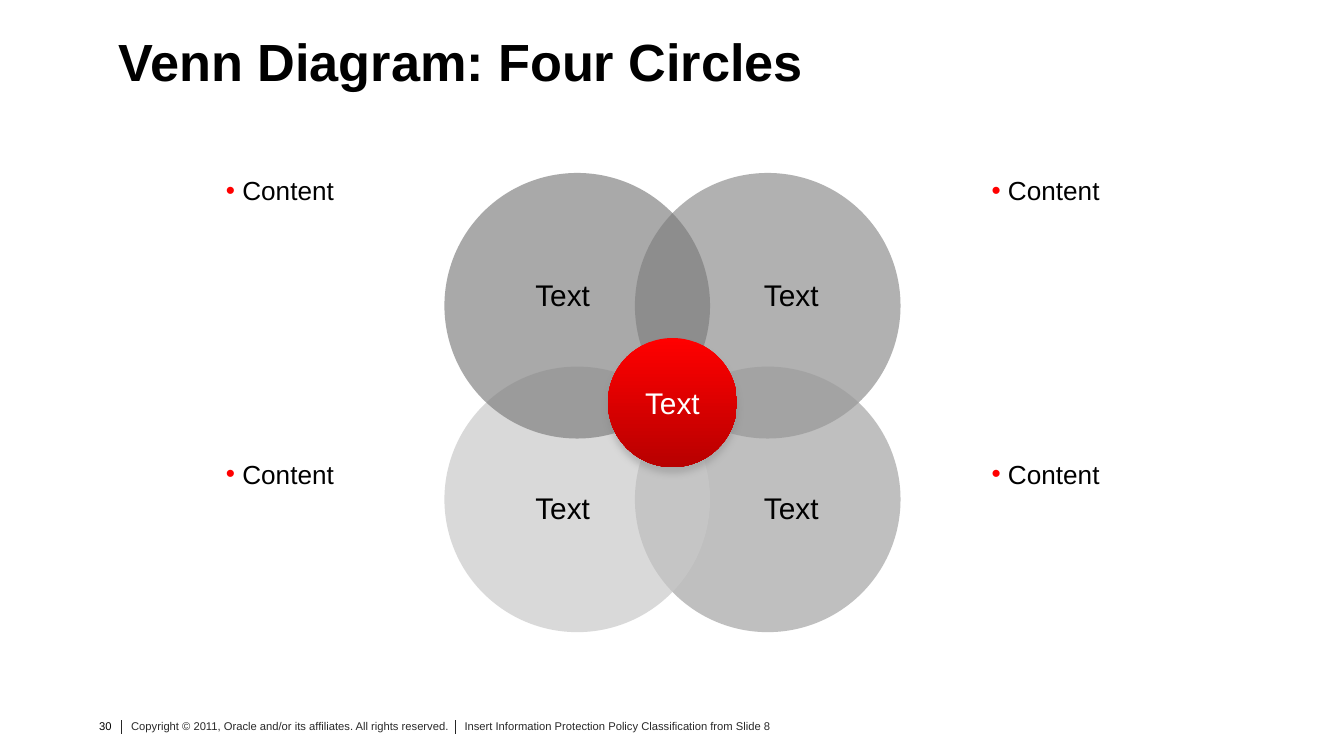
from lxml.etree import SubElement
from pptx import Presentation
from pptx.dml.color import RGBColor
from pptx.enum.shapes import MSO_CONNECTOR, MSO_SHAPE
from pptx.enum.text import MSO_ANCHOR as ANCHOR, PP_ALIGN as ALIGN
from pptx.oxml.ns import qn
from pptx.util import Cm, Pt

TITLE = "Venn Diagram: Four Circles"
# text, left, width, alignment, colour
FOOTER = [
    ("30", 1.66, 0.55, ALIGN.RIGHT, "000000"),
    ("Copyright © 2011, Oracle and/or its affiliates. All rights reserved.",
     2.38, 6.2, ALIGN.LEFT, "292929"),
    ("Insert Information Protection Policy Classification from Slide 8",
     8.68, 6.27, ALIGN.LEFT, "292929"),
]
FOOTER_DIVIDERS = [2.29, 8.6]
# column, row, colour, opacity in percent; back to front
CIRCLES = [
    (1, 0, "868686", 64),
    (1, 1, "9D9D9D", 65),
    (0, 1, "C9C9C9", 69),
    (0, 0, "7B7B7B", 65),
]
CIRCLE_LABELS = [["Text", "Text"], ["Text", "Text"]]
CENTRE_LABEL = "Text"
# text and box height, by row and column
NOTES = [
    [("Content", 3.07), ("Content", 2.77)],
    [("Content", 3.12), ("Content", 3.3)],
]

CENTRE_X, CENTRE_Y = 12.71, 7.61
CIRCLE_SIZE, CENTRE_SIZE = 5.02, 2.44
OFFSET_X, OFFSET_Y = 1.8, 1.83
LABEL_COLUMNS, LABEL_ROWS = [(8.78, 3.71), (13.19, 3.53)], [5.28, 9.32]
NOTE_COLUMNS, NOTE_ROWS = [4.27, 18.74], [(3.3, 4.24), (8.66, 4.06)]
BULLET_INDENT = 0.31


def rgb(value):
    return RGBColor.from_string(value)


def add_bullet(paragraph):
    props = paragraph._p.get_or_add_pPr()
    props.set("marL", str(Cm(BULLET_INDENT)))
    props.set("indent", str(-Cm(BULLET_INDENT)))
    colour = SubElement(props, qn("a:buClr"))
    SubElement(colour, qn("a:srgbClr"), val="FF0000")
    SubElement(props, qn("a:buFont"), typeface="Arial")
    SubElement(props, qn("a:buChar"), char="•")


def write(shape, text, size=16, color="000000", bold=False, align=ALIGN.LEFT,
          anchor=ANCHOR.TOP, insets=(0, 0), bullet=False, spacing=None):
    """Fill a shape with one formatted paragraph; insets are (side, top/bottom)."""
    frame = shape.text_frame
    frame.word_wrap = True
    frame.vertical_anchor = anchor
    frame.margin_left = frame.margin_right = Cm(insets[0])
    frame.margin_top = frame.margin_bottom = Cm(insets[1])
    paragraph = frame.paragraphs[0]
    paragraph.alignment = align
    if spacing:
        paragraph.line_spacing = spacing
    if bullet:
        add_bullet(paragraph)
    run = paragraph.add_run()
    run.text = text
    run.font.name = "Arial"
    run.font.size = Pt(size)
    run.font.bold = bold
    run.font.color.rgb = rgb(color)


def add_text(slide, text, left, top, width, height, **style):
    box = slide.shapes.add_textbox(Cm(left), Cm(top), Cm(width), Cm(height))
    write(box, text, **style)


def add_circle(slide, x, y, size):
    """Add a borderless circle centred on x, y."""
    circle = slide.shapes.add_shape(
        MSO_SHAPE.OVAL, Cm(x - size / 2), Cm(y - size / 2), Cm(size), Cm(size))
    circle.shadow.inherit = False
    circle.line.fill.background()
    return circle


def add_divider(slide, x):
    divider = slide.shapes.add_connector(
        MSO_CONNECTOR.STRAIGHT, Cm(x), Cm(13.61), Cm(x), Cm(13.87))
    divider.line.color.rgb = rgb("262626")
    divider.line.width = Pt(0.5)
    SubElement(divider._element.spPr, qn("a:effectLst"))


def add_translucent_circle(slide, column, row, color, opacity):
    circle = add_circle(slide, CENTRE_X + (2 * column - 1) * OFFSET_X,
                        CENTRE_Y + (2 * row - 1) * OFFSET_Y, CIRCLE_SIZE)
    circle.fill.solid()
    circle.fill.fore_color.rgb = rgb(color)
    fill_color = circle._element.spPr.find(".//" + qn("a:srgbClr"))
    SubElement(fill_color, qn("a:alpha"), val=str(opacity * 1000))


def add_centre(slide):
    centre = add_circle(slide, CENTRE_X, CENTRE_Y, CENTRE_SIZE)
    centre.fill.gradient()
    centre.fill.gradient_angle = 270
    for stop, color in zip(centre.fill.gradient_stops, ("FF0000", "B80000")):
        stop.color.rgb = rgb(color)
    effects = centre._element.spPr.find(qn("a:effectLst"))
    shadow = SubElement(effects, qn("a:outerShdw"), blurRad=str(Pt(4)),
                        dist=str(Pt(3)), dir="5400000", rotWithShape="0")
    shadow_color = SubElement(shadow, qn("a:srgbClr"), val="808080")
    SubElement(shadow_color, qn("a:alpha"), val="40000")
    write(centre, CENTRE_LABEL, color="FFFFFF", align=ALIGN.CENTER,
          anchor=ANCHOR.MIDDLE, insets=(0, 0.13))


def main():
    deck = Presentation()
    deck.slide_width, deck.slide_height = Cm(25.4), Cm(14.29)
    slide = deck.slides.add_slide(deck.slide_layouts[6])

    for text, left, width, align, color in FOOTER:
        add_text(slide, text, left, 13.54, width, 0.61, size=6, color=color,
                 align=align, insets=(0.1, 0.05))
    for x in FOOTER_DIVIDERS:
        add_divider(slide, x)

    for (top, width), notes in zip(NOTE_ROWS, NOTES):
        for left, (text, height) in zip(NOTE_COLUMNS, notes):
            add_text(slide, text, left, top, width, height, size=14, bullet=True)

    for circle in CIRCLES:
        add_translucent_circle(slide, *circle)
    for top, labels in zip(LABEL_ROWS, CIRCLE_LABELS):
        for (left, width), text in zip(LABEL_COLUMNS, labels):
            add_text(slide, text, left, top, width, 0.56,
                     align=ALIGN.CENTER, anchor=ANCHOR.MIDDLE)
    add_centre(slide)

    add_text(slide, TITLE, 2.24, 0.48, 22.07, 1.47, size=28, bold=True,
             anchor=ANCHOR.MIDDLE, spacing=0.9)
    deck.save("out.pptx")


if __name__ == "__main__":
    main()
